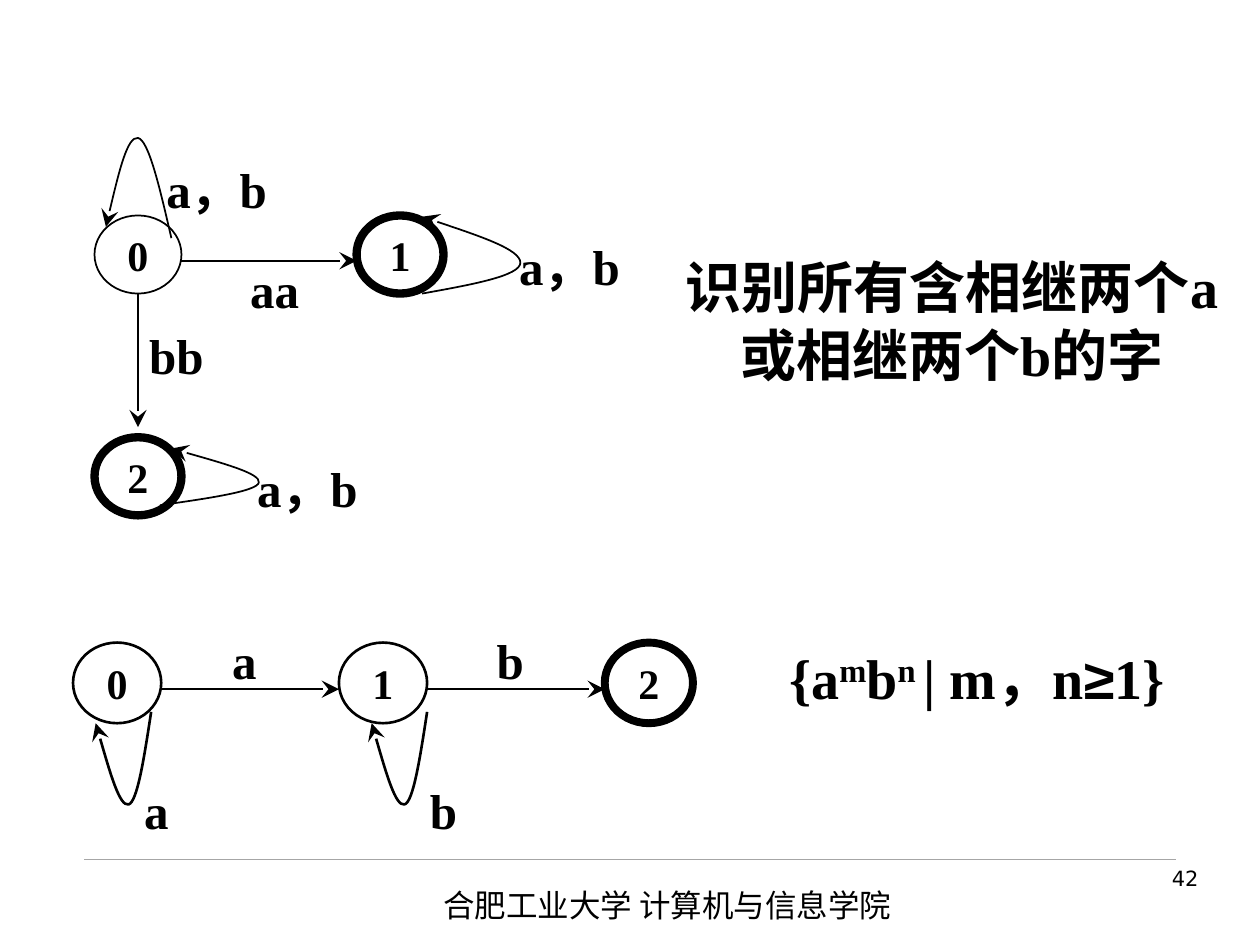
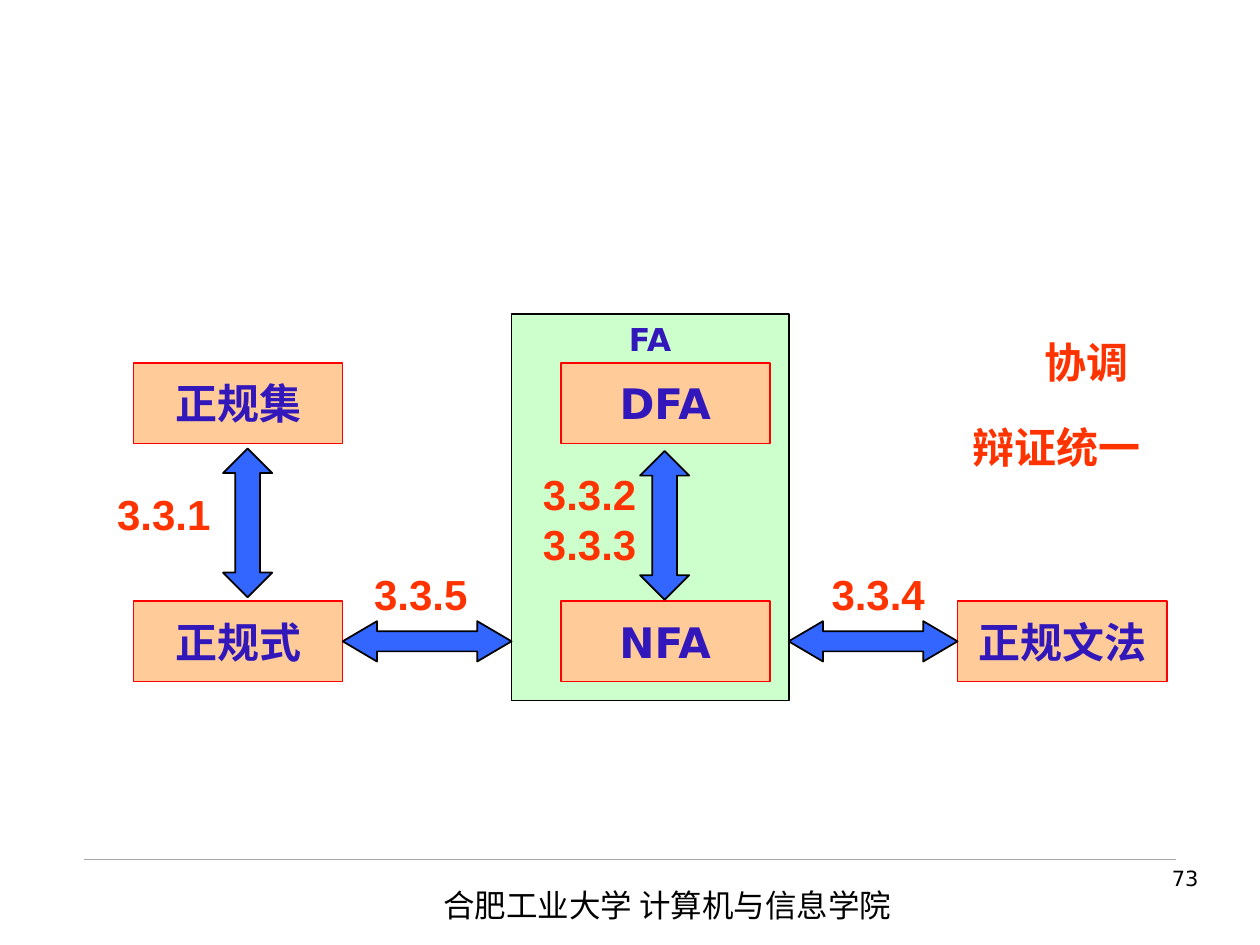
from lxml import etree
from pptx import Presentation
from pptx import util as u
from pptx.dml.color import RGBColor
from pptx.enum import shapes, text
from pptx.oxml.ns import qn

CELL = u.Inches(1)  # the slide is a grid of 10 columns by 7.5 rows
COLS, ROWS = 10, 7.5

BLACK, RULE = "000000", "A6A6A6"
INDIGO, ORANGE = "3217BB", "FF3300"
PEACH, RED, MINT, BLUE = "FFCC99", "FF0000", "CCFFCC", "3366FF"
SERIF, SANS, UI, CJK = "Times New Roman", "Arial", "DejaVu Sans", "Noto Sans CJK SC"
CENTER, LEFT, RIGHT = text.PP_ALIGN.CENTER, text.PP_ALIGN.LEFT, text.PP_ALIGN.RIGHT
TOP, MIDDLE = text.MSO_ANCHOR.TOP, text.MSO_ANCHOR.MIDDLE
SHAPE = shapes.MSO_SHAPE


def cells(*values):
    return [u.Emu(round(v * CELL)) for v in values]


def rgb(color):
    return RGBColor.from_string(color)


def put_text(sp, *paras, size=24, font=SERIF, color=BLACK, bold=True,
             align=CENTER, anchor=MIDDLE, wrap=False):
    """Each paragraph is a string, or a list of (text, font, baseline) runs."""
    tf = sp.text_frame
    tf.word_wrap, tf.vertical_anchor = wrap, anchor
    for i, para in enumerate(paras):
        p = tf.add_paragraph() if i else tf.paragraphs[0]
        p.alignment = align
        runs = [(para, font, 0)] if isinstance(para, str) else para
        for words, face, baseline in runs:
            r = p.add_run()
            r.text = words
            r.font.size, r.font.bold, r.font.name = u.Pt(size), bold, face
            r.font.color.rgb = rgb(color)
            r_pr = r.font._element
            etree.SubElement(r_pr, qn("a:ea")).set("typeface", CJK)
            if baseline:
                r_pr.set("baseline", str(baseline * 1000))


def add_text(slide, box, *paras, **fmt):
    put_text(slide.shapes.add_textbox(*cells(*box)), *paras, **fmt)


def style_line(sp, color=BLACK, width=1, arrow=False):
    sp.line.color.rgb, sp.line.width = rgb(color), u.Pt(width)
    if arrow:
        tail = etree.SubElement(sp.line._get_or_add_ln(), qn("a:tailEnd"))
        for key, value in (("type", "stealth"), ("w", "lg"), ("len", "lg")):
            tail.set(key, value)


def add_shape(slide, kind, box, fill=None, line=BLACK, width=1):
    sp = slide.shapes.add_shape(kind, *cells(*box))
    sp.shadow.inherit = False
    if fill:
        sp.fill.solid()
        sp.fill.fore_color.rgb = rgb(fill)
    else:
        sp.fill.background()
    style_line(sp, line, width)
    return sp


def add_line(slide, start, end, **style):
    line = slide.shapes.add_connector(shapes.MSO_CONNECTOR.STRAIGHT, *cells(*start, *end))
    style_line(line, **style)
    etree.SubElement(line._element.spPr, qn("a:effectLst"))


def add_state(slide, name, box, width):
    put_text(add_shape(slide, SHAPE.OVAL, box, width=width), name)


def midpoint(a, b):
    return (a[0] + b[0]) / 2, (a[1] + b[1]) / 2


def add_loop(slide, start, shoulder1, shoulder2, end, width=1):
    """Two Bezier curves that meet halfway between the shoulders."""
    points = [midpoint(start, shoulder1), shoulder1, midpoint(shoulder1, shoulder2),
              shoulder2, midpoint(shoulder2, end), end]
    builder = slide.shapes.build_freeform(*cells(*start))
    builder.add_line_segments([cells(*pt) for pt in points], close=False)
    sp = builder.convert_to_shape()
    sp.shadow.inherit = False
    sp.fill.background()
    style_line(sp, width=width, arrow=True)
    outline = sp._element.find(".//" + qn("a:path"))
    segments = outline.findall(qn("a:lnTo"))
    for i in (0, 3):
        curve = etree.SubElement(outline, qn("a:cubicBezTo"))
        for segment in segments[i:i + 3]:
            curve.append(segment[0])
            outline.remove(segment)


def add_label(slide, words, center, top):
    width = 1.4
    add_text(slide, (center - width / 2, top, width, 0.62), words, size=28)


def add_slide(prs, number):
    slide = prs.slides.add_slide(prs.slide_layouts[6])
    margin, rule_y = 0.67, 6.82
    add_line(slide, (margin, rule_y), (COLS - margin, rule_y), color=RULE, width=0.25)
    add_text(slide, (3.42, 6.98, 4.72, 0.4), "合肥工业大学 计算机与信息学院", size=18,
             font=CJK, bold=False, align=LEFT, anchor=TOP, wrap=True)
    add_text(slide, (7.44, rule_y, 2.17, 0.52), str(number), size=12, font=UI,
             bold=False, align=RIGHT, anchor=TOP, wrap=True)
    return slide


def draw_repeat_automaton(slide):
    """Automaton for words with two equal letters in a row."""
    w, h = 0.69, 0.62
    col0, col1, row0, row1 = 0.75, 2.83, 1.71, 3.47
    for name, left, top, width in (("0", col0, row0, 1), ("2", col0, row1, 4.75),
                                   ("1", col1, row0, 4.75)):
        add_state(slide, name, (left, top, w, h), width)
    add_line(slide, (col0 + w, 2.07), (col1, 2.07), arrow=True)
    add_line(slide, (col0 + w / 2, row0 + h), (col0 + w / 2, 3.39), arrow=True)
    add_loop(slide, (1.36, 1.89), (1.18, 1.11), (1.01, 1.08), (0.84, 1.8))
    add_loop(slide, (1.27, 4.01), (2.04, 3.9), (2.07, 3.76), (1.36, 3.56))
    add_loop(slide, (3.35, 2.33), (4.13, 2.19), (4.13, 1.98), (3.35, 1.72))
    for words, center, top in (("a，b", 1.72, 1.19), ("aa", 2.18, 1.98), ("a，b", 4.52, 1.8),
                               ("bb", 1.4, 2.51), ("a，b", 2.44, 3.56)):
        add_label(slide, words, center, top)
    add_text(slide, (5.06, 2, 4.99, 1.08),
             [("识别所有含相继两个", CJK, 0), ("a", SERIF, 0)],
             [("或相继两个", CJK, 0), ("b", SERIF, 0), ("的字", CJK, 0)], size=32)


def draw_power_automaton(slide):
    """Automaton for a run of a followed by a run of b."""
    left, top, w, h, pitch, arrow_y = 0.58, 5.1, 0.7, 0.64, 2.11, 5.47
    for i, width in enumerate((1.5, 1.5, 4.5)):
        add_state(slide, str(i), (left + i * pitch, top, w, h), width)
    for i, letter in enumerate("ab"):
        x = left + i * pitch
        add_line(slide, (x + w, arrow_y), (x + pitch, arrow_y), width=1.5, arrow=True)
        add_label(slide, letter, x + 1.36, 4.93)
        shift = i * 2.19
        add_loop(slide, (1.2 + shift, 5.65), (1.09 + shift, 6.37), (0.95 + shift, 6.4),
                 (0.76 + shift, 5.74), width=1.5)
        add_label(slide, letter, 1.24 + i * 2.28, 6.12)
    add_text(slide, (5.92, 4.83, 3.67, 1.08),
             [("{a", SERIF, 0), ("m", SERIF, 30), ("b", SERIF, 0), ("n ", SERIF, 30),
              ("| m，n", SERIF, 0), ("≥", SANS, 0), ("1}", SERIF, 0)], size=32)


def add_double_arrow(slide, kind, box, *adjustments):
    sp = add_shape(slide, kind, box, fill=BLUE)
    for i, value in enumerate(adjustments):
        sp.adjustments[i] = value


def draw_equivalences(slide):
    """Map of the equivalent formalisms, with their section numbers."""
    w, h, upper, lower = 1.66, 0.64, 2.88, 4.77
    set_x, fa_x, grammar_x = 1.06, 4.45, 7.6
    panel_x, panel_w = 4.06, 2.2
    panel = add_shape(slide, SHAPE.RECTANGLE, (panel_x, 2.49, panel_w, 3.07), fill=MINT)
    put_text(panel, "FA", size=18, font=UI, color=INDIGO, anchor=TOP)
    for words, left, top in (("正规集", set_x, upper), ("正规式", set_x, lower),
                             ("DFA", fa_x, upper), ("NFA", fa_x, lower),
                             ("正规文法", grammar_x, lower)):
        sp = add_shape(slide, SHAPE.RECTANGLE, (left, top, w, h), fill=PEACH, line=RED)
        put_text(sp, words, font=UI, color=INDIGO)
    for left in (set_x + w, panel_x + panel_w):
        add_double_arrow(slide, SHAPE.LEFT_RIGHT_ARROW, (left, 4.93, 1.34, 0.32), 0.5, 0.85)
    for left, top in ((1.77, 3.56), (5.08, 3.58)):
        add_double_arrow(slide, SHAPE.UP_DOWN_ARROW, (left, top, 0.39, 1.18), 0.6, 0.5)
    for left, top, width, *lines in (
            (0.83, 3.83, 0.94, "3.3.1"), (4.21, 3.67, 0.94, "3.3.2", "3.3.3"),
            (6.5, 4.46, 0.94, "3.3.4"), (2.87, 4.46, 0.94, "3.3.5"),
            (8.02, 2.62, 1.2, "协调"), (7.52, 3.3, 1.73, "辩证统一")):
        add_text(slide, (left, top, width, 0.1 + 0.4 * len(lines)), *lines,
                 font=SANS, color=ORANGE, anchor=TOP)


def main():
    prs = Presentation()
    prs.slide_width, prs.slide_height = cells(COLS, ROWS)
    automata = add_slide(prs, 42)
    draw_repeat_automaton(automata)
    draw_power_automaton(automata)
    draw_equivalences(add_slide(prs, 73))
    prs.save("out.pptx")


if __name__ == "__main__":
    main()
